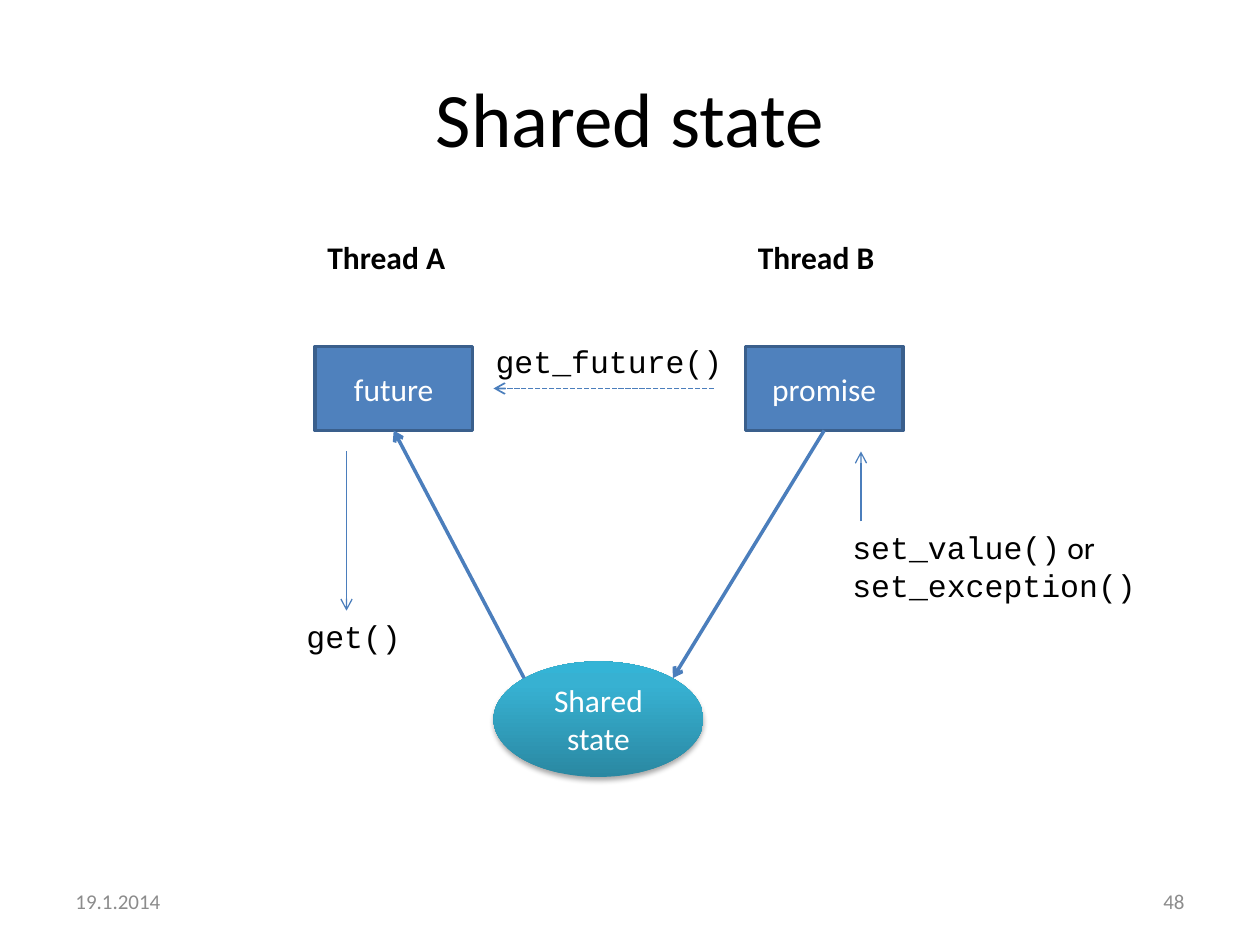
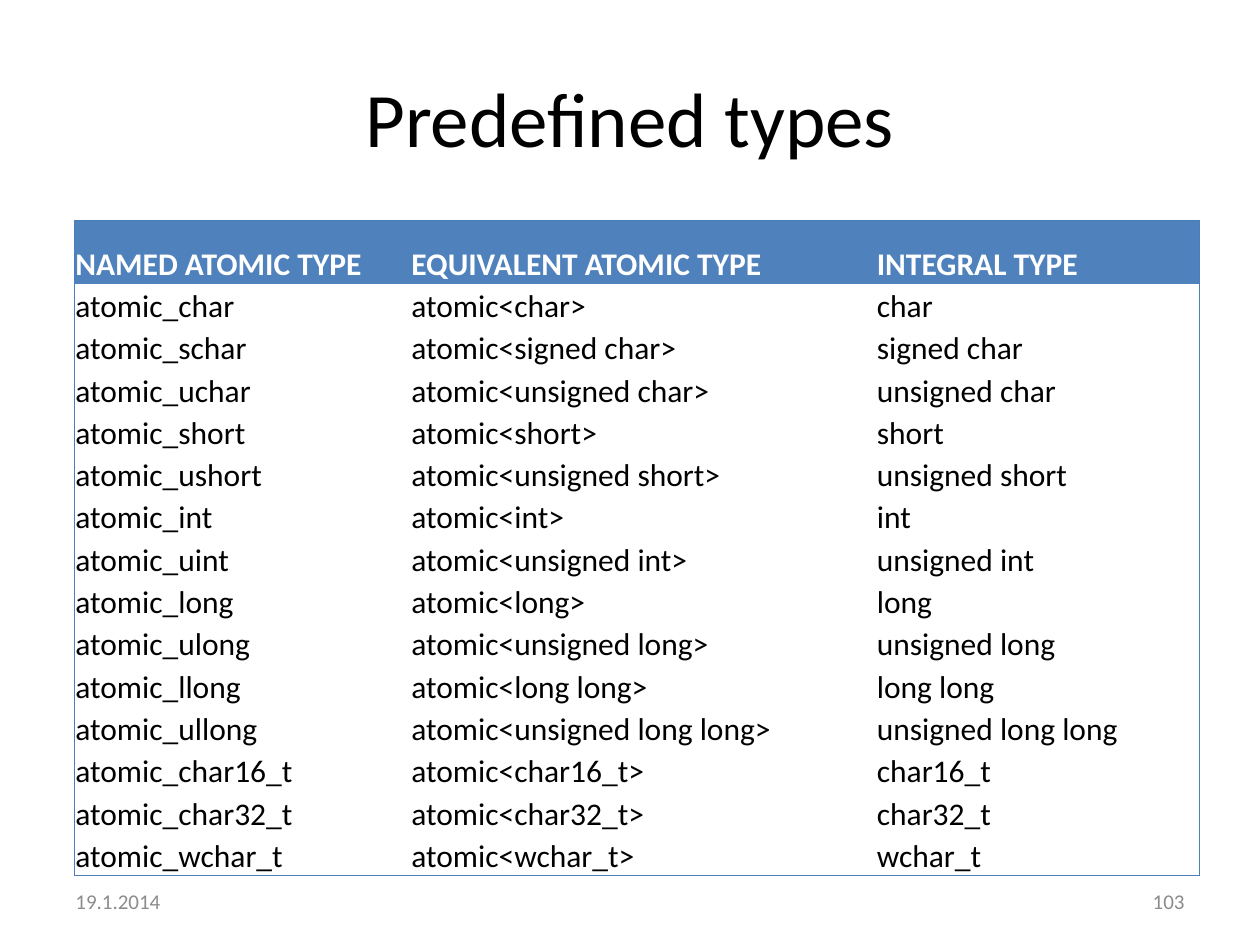
from dataclasses import dataclass

from lxml.etree import SubElement as Sub
from pptx import Presentation
from pptx.dml.color import RGBColor as RGB
from pptx.enum.dml import MSO_LINE as Dash
from pptx.enum.shapes import MSO_CONNECTOR as Conn, MSO_SHAPE as Form
from pptx.enum.text import MSO_ANCHOR as Anchor, PP_ALIGN as Align
from pptx.oxml import parse_xml
from pptx.oxml.ns import nsdecls, qn
from pptx.util import Pt


@dataclass(frozen=True)
class Theme:
    font: str = "Calibri"
    mono: str = "Courier New"
    black: RGB = RGB(0, 0, 0)
    white: RGB = RGB(255, 255, 255)
    gray: RGB = RGB(0x8C, 0x8C, 0x8C)
    blue: RGB = RGB(0x4F, 0x81, 0xBD)
    edge: RGB = RGB(0x3A, 0x5F, 0x8C)
    wire: RGB = RGB(0x4B, 0x7E, 0xBC)
    glow: tuple = ((0, "2A88A2"), (80, "37B1D2"), (100, "34B4D6"))
    head: int = 44
    body: int = 18
    foot: int = 12
    thin: float = 0.75


look = Theme()


def write(frame, parts, size=look.body, color=look.black, bold=False,
          align=Align.LEFT, anchor=Anchor.MIDDLE):
    """Fill a frame with one paragraph made of (text, font) parts."""
    frame.word_wrap = True
    frame.vertical_anchor = anchor
    para = frame.paragraphs[0]
    para.alignment = align
    for text, face in parts:
        run = para.add_run()
        run.text = text
        font = run.font
        font.name, font.size, font.bold = face, Pt(size), bold
        font.color.rgb = color


deck = Presentation()
deck.slide_width, deck.slide_height = Pt(720), Pt(540)

# Title and footer of each slide
slides = []
for title, page in (("Shared state", "48"), ("Predefined types", "103")):
    slide = deck.slides.add_slide(deck.slide_layouts[5])
    slides.append(slide)
    top = slide.shapes.title
    top.left, top.top, top.width, top.height = Pt(36), Pt(21.6), Pt(648), Pt(90)
    write(top.text_frame, [(title, look.font)], look.head, align=Align.CENTER)
    for left, text, align in ((36, "19.1.2014", Align.LEFT), (516, page, Align.RIGHT)):
        box = slide.shapes.add_textbox(Pt(left), Pt(500.5), Pt(168), Pt(28.75))
        write(box.text_frame, [(text, look.font)], look.foot, look.gray, align=align)
state, types = slides

# Shared state: the oval
shapes = state.shapes
oval = shapes.add_shape(Form.OVAL, Pt(282), Pt(378), Pt(120), Pt(66))
oval.line.fill.background()
oval.shadow.inherit = False
stops = "".join(f'<a:gs pos="{pos * 1000}"><a:srgbClr val="{tone}"/></a:gs>'
                for pos, tone in look.glow)
props = oval._element.spPr
props.insert(2, parse_xml(
    f'<a:gradFill {nsdecls("a")} rotWithShape="1"><a:gsLst>{stops}</a:gsLst>'
    '<a:lin ang="16200000" scaled="0"/></a:gradFill>'))
props.find(qn("a:effectLst")).append(parse_xml(
    f'<a:outerShdw {nsdecls("a")} blurRad="{Pt(3.1)}" dist="{Pt(1.8)}" dir="5400000" '
    'rotWithShape="0"><a:srgbClr val="000000"><a:alpha val="35000"/></a:srgbClr>'
    '</a:outerShdw>'))
write(oval.text_frame, [("Shared state", look.font)], color=look.white,
      align=Align.CENTER)

# Each thread: its heading and its end of the channel
for left, head, end in ((180, "Thread A", "future"), (426, "Thread B", "promise")):
    box = shapes.add_textbox(Pt(left), Pt(132), Pt(90), Pt(29))
    write(box.text_frame, [(head, look.font)], bold=True)
    rect = shapes.add_shape(Form.RECTANGLE, Pt(left), Pt(198), Pt(90), Pt(48))
    rect.shadow.inherit = False
    rect.fill.solid()
    rect.fill.fore_color.rgb = look.blue
    rect.line.color.rgb = look.edge
    rect.line.width = Pt(2)
    write(rect.text_frame, [(end, look.font)], color=look.white, align=Align.CENTER)

calls = (
    (276, 192, 144, 29, Align.CENTER, [("get_future()", look.mono)]),
    (480, 298, 180, 51, Align.LEFT,
     [("set_value()", look.mono), (" or ", look.font), ("set_exception()", look.mono)]),
    (168, 349, 69, 29, Align.LEFT, [("get()", look.mono)]),
)
for left, top, wide, high, align, parts in calls:
    box = shapes.add_textbox(Pt(left), Pt(top), Pt(wide), Pt(high))
    write(box.text_frame, parts, align=align, anchor=Anchor.TOP)

arrows = (
    (408, 222, 282, 222, 1, Dash.SQUARE_DOT),
    (299.5, 387.5, 225, 246, 2, None),
    (471, 246, 384.5, 387.5, 2, None),
    (492, 298, 492, 258, look.thin, None),
    (198, 258, 198, 349, look.thin, None),
)
for *ends, width, dash in arrows:
    arrow = shapes.add_connector(Conn.STRAIGHT, *map(Pt, ends))
    arrow.line.color.rgb = look.wire
    arrow.line.width = Pt(width)
    if dash:
        arrow.line.dash_style = dash
    props = arrow._element.spPr
    Sub(props.find(qn("a:ln")), qn("a:tailEnd"), type="arrow")
    Sub(props, qn("a:effectLst"))

# Predefined types: name ending and the type it stands for
pairs = [("char", "char"), ("schar", "signed char"), ("uchar", "unsigned char")]
for name in ("short", "int", "long"):
    pairs += [(name, name), (f"u{name}", f"unsigned {name}")]
pairs += [("llong", "long long"), ("ullong", "unsigned long long")]
pairs += [(name, name) for name in ("char16_t", "char32_t", "wchar_t")]
rows = [("NAMED ATOMIC TYPE", "EQUIVALENT ATOMIC TYPE", "INTEGRAL TYPE")]
rows += [(f"atomic_{name}", f"atomic<{base}>", base) for name, base in pairs]

widths = (192, 266, 185)
heights = [36] + [24.2] * len(pairs)
table = types.shapes.add_table(len(rows), len(widths), Pt(42.5), Pt(126),
                               Pt(sum(widths)), Pt(sum(heights))).table
table.horz_banding = False
for col, wide in zip(table.columns, widths):
    col.width = Pt(wide)
for row, high in zip(table.rows, heights):
    row.height = Pt(high)

for i, row in enumerate(rows):
    for j, text in enumerate(row):
        cell = table.cell(i, j)
        cell.margin_left = cell.margin_right = cell.margin_top = Pt(0.6)
        cell.margin_bottom = 0
        outer = {"lnL": j == 0, "lnR": j == len(widths) - 1,
                 "lnT": i == 0, "lnB": i == len(rows) - 1}
        for side, shown in outer.items():
            edge = Sub(cell._tc.get_or_add_tcPr(), qn(f"a:{side}"), w=str(Pt(look.thin)))
            if shown:
                Sub(Sub(edge, qn("a:solidFill")), qn("a:srgbClr"), val=str(look.wire))
            else:
                Sub(edge, qn("a:noFill"))
        if i == 0:
            cell.fill.solid()
            cell.fill.fore_color.rgb = look.blue
        else:
            cell.fill.background()
        write(cell.text_frame, [(text, look.font)], bold=i == 0,
              color=look.black if i else look.white)
        cell.vertical_anchor = Anchor.BOTTOM

for slide in slides:
    for shape in list(slide.placeholders):
        if not shape.text_frame.text:
            shape._element.getparent().remove(shape._element)

deck.save("out.pptx")
